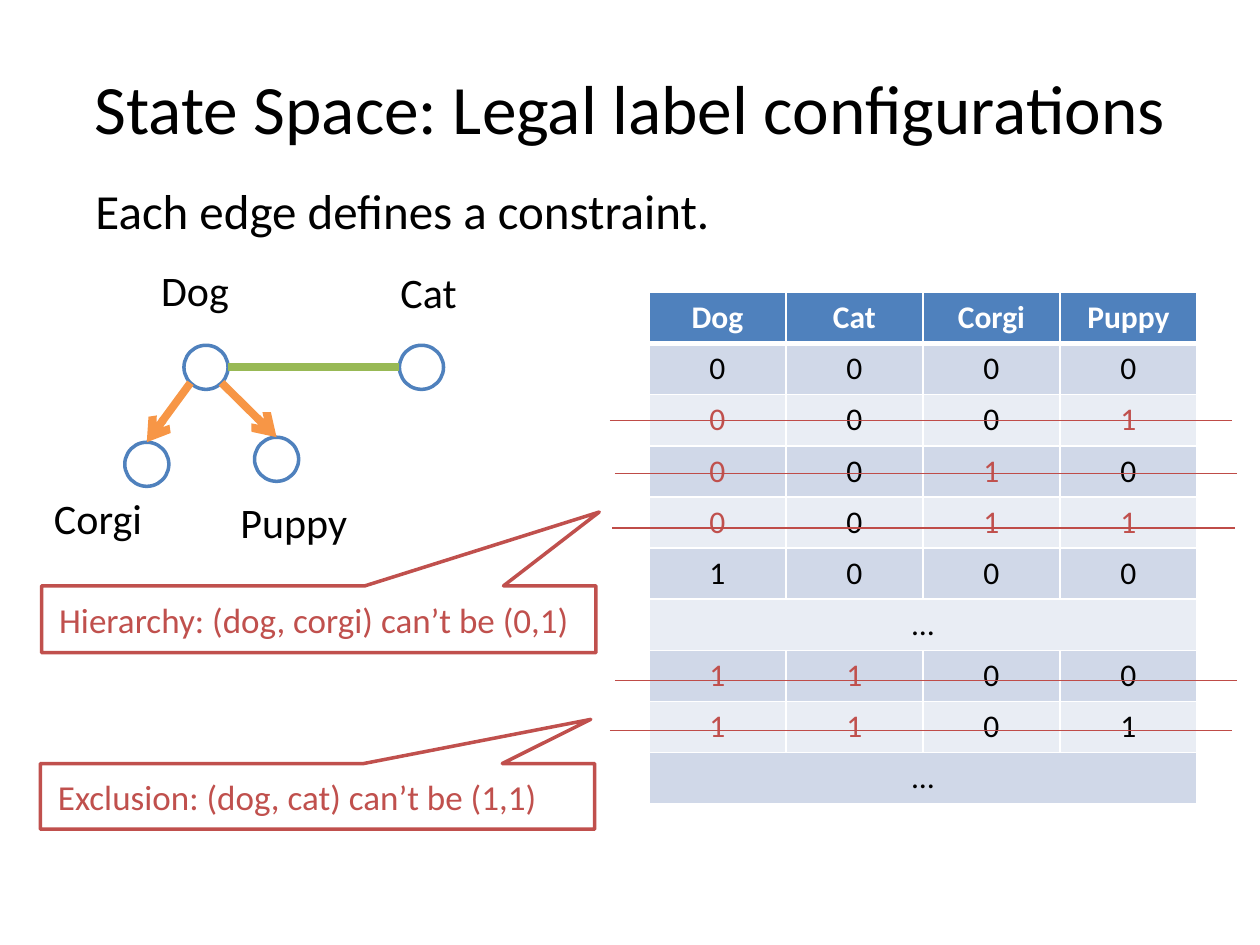
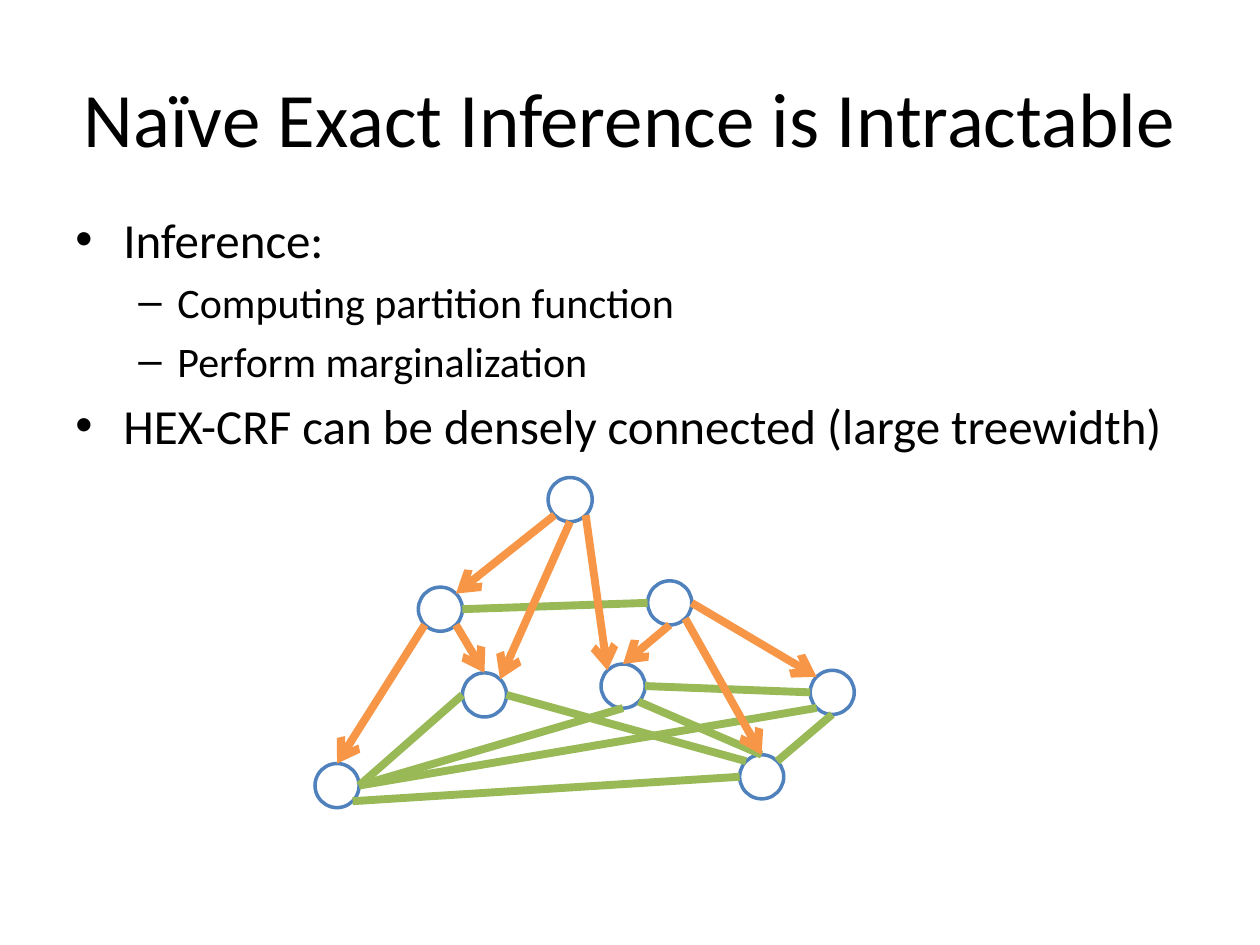
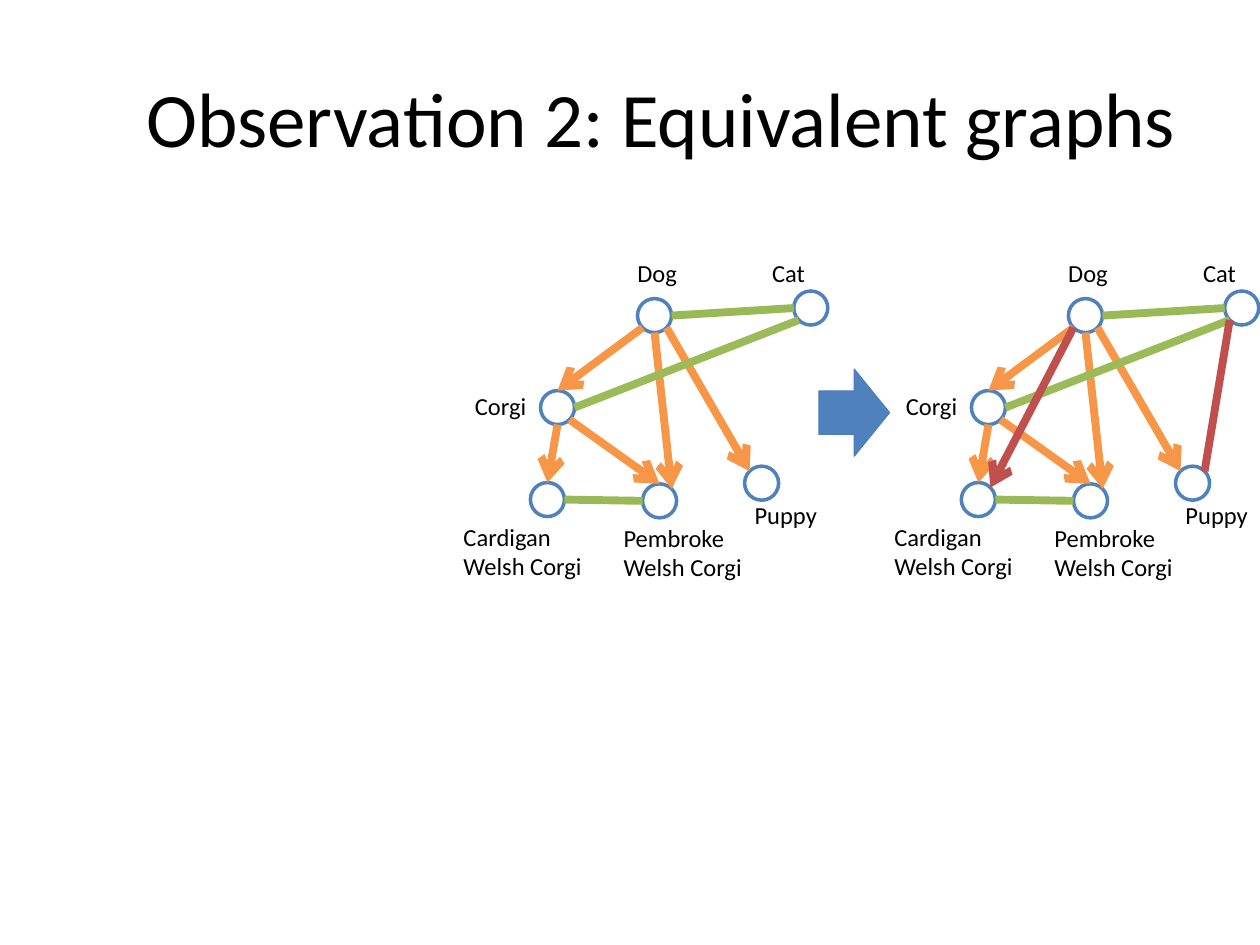
"""Builds three slides on label graphs, legal states and equivalent graphs."""
import math
from dataclasses import dataclass

from lxml import etree
from pptx import Presentation, util as u
from pptx.dml.color import RGBColor
from pptx.enum import shapes, text
from pptx.oxml import ns


@dataclass(frozen=True)
class Theme:
    font: str = "Calibri"
    black: str = "000000"
    white: str = "FFFFFF"
    blue: str = "4F81BD"
    blue_edge: str = "4B7EBC"
    orange: str = "F79646"
    green: str = "98B955"
    light_green: str = "9BBB59"
    red: str = "C0504D"
    strike: str = "BF4C48"
    bands: tuple = ("D0D8E8", "E9EDF4")
    title: float = 44
    heading: float = 28
    label: float = 24
    callout: float = 20
    cell: float = 18
    small: float = 14
    edge: float = 4.5
    outline: float = 2
    hairline: float = 0.75


SITES = ("E", "SE", "S", "SW", "W", "NW", "N", "NE")


def add_xml(parent, tag, **attributes):
    return etree.SubElement(parent, ns.qn(tag), attributes)


class Deck:
    def __init__(self, theme):
        self.theme = theme
        self.presentation = Presentation()
        self.presentation.slide_width = u.Inches(10)
        self.presentation.slide_height = u.Inches(7.5)
        self.slide = None

    def new_slide(self, title, top=0.3, width=9, size=None):
        self.slide = self.presentation.slides.add_slide(self.presentation.slide_layouts[6])
        frame = self.text_box((0.5, top, width, 1.25), title, size or self.theme.title)
        frame.vertical_anchor = text.MSO_ANCHOR.MIDDLE
        frame.paragraphs[0].alignment = text.PP_ALIGN.CENTER

    def style(self, paragraph, size, color, bold=False):
        font = paragraph.font
        font.name, font.size, font.bold = self.theme.font, u.Pt(size), bold
        font.color.rgb = RGBColor.from_string(color)

    def text_box(self, box, words, size):
        frame = self.slide.shapes.add_textbox(*map(u.Inches, box)).text_frame
        frame.word_wrap = True
        frame.text = words
        self.style(frame.paragraphs[0], size, self.theme.black)
        return frame

    def bullets(self, box, items):
        frame = self.slide.shapes.add_textbox(*map(u.Inches, box)).text_frame
        frame.word_wrap = True
        levels = (("•", 0.38, 0.38, self.theme.heading), ("–", 0.81, 0.31, self.theme.label))
        for index, (level, words) in enumerate(items):
            mark, margin, hanging, size = levels[level]
            paragraph = frame.add_paragraph() if index else frame.paragraphs[0]
            paragraph.text, paragraph.level = words, level
            properties = paragraph._p.get_or_add_pPr()
            properties.set("marL", str(u.Inches(margin)))
            properties.set("indent", str(-u.Inches(hanging)))
            add_xml(properties, "a:buFont", typeface="Arial")
            add_xml(properties, "a:buChar", char=mark)
            if index:
                paragraph.space_before = u.Pt(0.2 * size)
            self.style(paragraph, size, self.theme.black)

    def shape(self, kind, box, fill, line, width):
        shape = self.slide.shapes.add_shape(kind, *map(u.Inches, box))
        shape.shadow.inherit = False
        if fill:
            shape.fill.solid()
            shape.fill.fore_color.rgb = RGBColor.from_string(fill)
        else:
            shape.fill.background()
        shape.line.color.rgb = RGBColor.from_string(line)
        shape.line.width = u.Pt(width)
        return shape

    def callout(self, box, tip, words):
        theme = self.theme
        shape = self.shape(shapes.MSO_SHAPE.RECTANGULAR_CALLOUT, box, None, theme.red, theme.outline)
        shape.adjustments[0], shape.adjustments[1] = tip
        frame = shape.text_frame
        frame.word_wrap = True
        frame.margin_left = u.Inches(0.14)
        frame.vertical_anchor = text.MSO_ANCHOR.MIDDLE
        frame.text = words
        frame.paragraphs[0].alignment = text.PP_ALIGN.LEFT
        self.style(frame.paragraphs[0], theme.callout, theme.red)

    def line(self, start, end, color, width, arrow=False):
        connector = self.slide.shapes.add_connector(
            shapes.MSO_CONNECTOR.STRAIGHT, *map(u.Inches, (*start, *end)))
        connector.line.color.rgb = RGBColor.from_string(color)
        connector.line.width = u.Pt(width)
        if arrow:
            add_xml(connector.line._get_or_add_ln(), "a:tailEnd", type="arrow")
        add_xml(connector._element.spPr, "a:effectLst")

    def graph(self, nodes, size, edge_sets, shift=0):
        """Draws circles, then edges written as "node site node site"."""
        theme = self.theme
        for left, top in nodes.values():
            self.shape(shapes.MSO_SHAPE.OVAL, (left + shift, top, size, size),
                       theme.white, theme.blue, theme.outline)

        def site_point(name, site):
            angle = SITES.index(site) * math.pi / 4
            left, top = nodes[name]
            return (left + shift + size / 2 * (1 + math.cos(angle)),
                    top + size / 2 * (1 + math.sin(angle)))

        for color, arrow, edges in edge_sets:
            for edge in edges:
                start, start_site, end, end_site = edge.split()
                self.line(site_point(start, start_site), site_point(end, end_site),
                          color, theme.edge, arrow)

    def border(self, cell, widths):
        properties = cell._tc.get_or_add_tcPr()
        for index, (side, width) in enumerate(zip("LRTB", widths)):
            line = etree.Element(ns.qn(f"a:ln{side}"), w=str(u.Pt(width)))
            add_xml(add_xml(line, "a:solidFill"), "a:srgbClr", val=self.theme.white)
            properties.insert(index, line)

    def state_table(self, box, header, states):
        theme = self.theme
        rows, columns = len(states) + 1, len(header)
        table = self.slide.shapes.add_table(rows, columns, *map(u.Inches, box)).table
        for row_index, values in enumerate([header, *states]):
            is_header = row_index == 0
            table.rows[row_index].height = u.Inches(box[3] / rows)
            conflicts = set() if is_header else conflicting_columns(values)
            for column in range(columns):
                cell = table.cell(row_index, column)
                cell.fill.solid()
                fill = theme.blue if is_header else theme.bands[(row_index - 1) % 2]
                cell.fill.fore_color.rgb = RGBColor.from_string(fill)
                self.border(cell, (1, 1, 3 if row_index == 1 else 1, 3 if is_header else 1))
                if column < len(values):
                    cell.text = values[column]
                    paragraph = cell.text_frame.paragraphs[0]
                    paragraph.alignment = text.PP_ALIGN.CENTER
                    color = theme.red if column in conflicts else theme.black
                    self.style(paragraph, theme.cell, theme.white if is_header else color, is_header)
            if len(values) == 1:
                table.cell(row_index, 0).merge(table.cell(row_index, columns - 1))


def conflicting_columns(state):
    """Finds the columns of a dog, cat, corgi, puppy state that break a constraint."""
    if state[:2] == "11":
        return {0, 1}
    children = {column for column in (2, 3) if state[0] == "0" and state[column] == "1"}
    return children | {0} if children else children


def state_space_slide(deck):
    theme = deck.theme
    deck.new_slide("State Space: Legal label configurations", top=0.22, size=39.6)
    for words, left, top in (("Corgi", 0.33, 3.86), ("Puppy", 1.81, 3.89),
                             ("Dog", 1.18, 2.05), ("Cat", 3.08, 2.07)):
        deck.text_box((left, top, 1.52, 0.5), words, theme.label)
    nodes = {"dog": (1.46, 2.74), "corgi": (0.99, 3.51), "puppy": (2.02, 3.47), "cat": (3.17, 2.74)}
    deck.graph(nodes, 0.35, [(theme.orange, True, ("dog SW corgi N", "dog SE puppy N")),
                             (theme.green, False, ("dog E cat W",))])
    deck.state_table((5.15, 2.32, 4.35, 4.06), ("Dog", "Cat", "Corgi", "Puppy"),
                     ("0000", "0001", "0010", "0011", "1000", "…", "1100", "1101", "…"))
    for left, top in ((4.84, 3.34), (4.88, 3.76), (4.86, 4.19), (4.88, 5.4), (4.84, 5.8)):
        deck.line((left, top), (left + 4.94, top), theme.strike, theme.hairline)
    deck.callout((0.33, 4.65, 4.4, 0.53), (0.506, -1.606), "Hierarchy: (dog, corgi) can’t be (0,1)")
    deck.callout((0.32, 6.06, 4.4, 0.52), (0.493, -1.174), "Exclusion: (dog, cat) can’t be (1,1)")
    deck.text_box((0.66, 1.38, 5.24, 0.57), "Each edge defines a constraint.", theme.heading)


def inference_slide(deck):
    theme = deck.theme
    deck.new_slide("Naïve Exact Inference is Intractable")
    deck.bullets((0.5, 1.61, 10.09, 2.05), (
        (0, "Inference:"), (1, "Computing partition function"), (1, "Perform marginalization"),
        (0, "HEX-CRF can be densely connected (large treewidth)")))
    nodes = {"root": (4.35, 3.79), "left": (3.32, 4.66), "right": (5.14, 4.61),
             "inner_left": (3.67, 5.34), "inner_right": (4.77, 5.27), "far_right": (6.43, 5.32),
             "low_left": (2.5, 6.06), "low_right": (5.87, 5.99)}
    hierarchy = ("left SW low_left N", "left SE inner_left N", "right S inner_right N",
                 "right SE low_right N", "right E far_right NW", "root SW left NE",
                 "root SE inner_right NW", "root S inner_left NE")
    exclusion = ("low_left E inner_left W", "low_right W low_left SE", "low_right NW inner_left E",
                 "inner_right SE low_right N", "right W left E", "inner_right E far_right W",
                 "low_right NE far_right S", "inner_right S low_left E", "far_right SW low_left E")
    deck.graph(nodes, 0.35, [(theme.green, False, exclusion), (theme.orange, True, hierarchy)])


def equivalent_graphs_slide(deck):
    theme = deck.theme
    deck.new_slide("Observation 2: Equivalent graphs", width=9.5)
    nodes = {"dog": (5.06, 2.37), "corgi": (4.29, 3.1), "puppy": (5.91, 3.7),
             "cat": (6.3, 2.31), "pembroke": (5.1, 3.84), "cardigan": (4.21, 3.83)}
    labels = (("Dog", (4.96, 2, 0.63, 0.35)), ("Cat", (6.03, 2, 0.63, 0.35)),
              ("Corgi", (3.67, 3.05, 0.95, 0.35)), ("Puppy", (5.89, 3.92, 1.01, 0.35)),
              ("Pembroke Welsh Corgi", (4.85, 4.1, 1.21, 0.57)),
              ("Cardigan Welsh Corgi", (3.58, 4.09, 1.21, 0.57)))
    shared = [(theme.orange, True, ("dog SW corgi N", "dog SE puppy NW", "corgi SE pembroke N",
                                    "dog S pembroke NE", "corgi S cardigan N")),
              (theme.green, False, ("dog E cat W", "cardigan E pembroke W")),
              (theme.light_green, False, ("corgi E cat SW",))]
    implied = [(theme.red, True, ("dog SW cardigan NE",)),
               (theme.red, False, ("puppy NE cat SW",))]
    for shift, edge_sets in ((0, shared), (3.42, shared + implied)):
        deck.graph(nodes, 0.27, edge_sets, shift)
        for words, (left, *rest) in labels:
            deck.text_box((left + shift, *rest), words, theme.small)
    deck.shape(shapes.MSO_SHAPE.RIGHT_ARROW, (6.5, 2.93, 0.56, 0.69),
               theme.blue, theme.blue_edge, theme.hairline)


def main():
    deck = Deck(Theme())
    state_space_slide(deck)
    inference_slide(deck)
    equivalent_graphs_slide(deck)
    deck.presentation.save("out.pptx")


if __name__ == "__main__":
    main()
